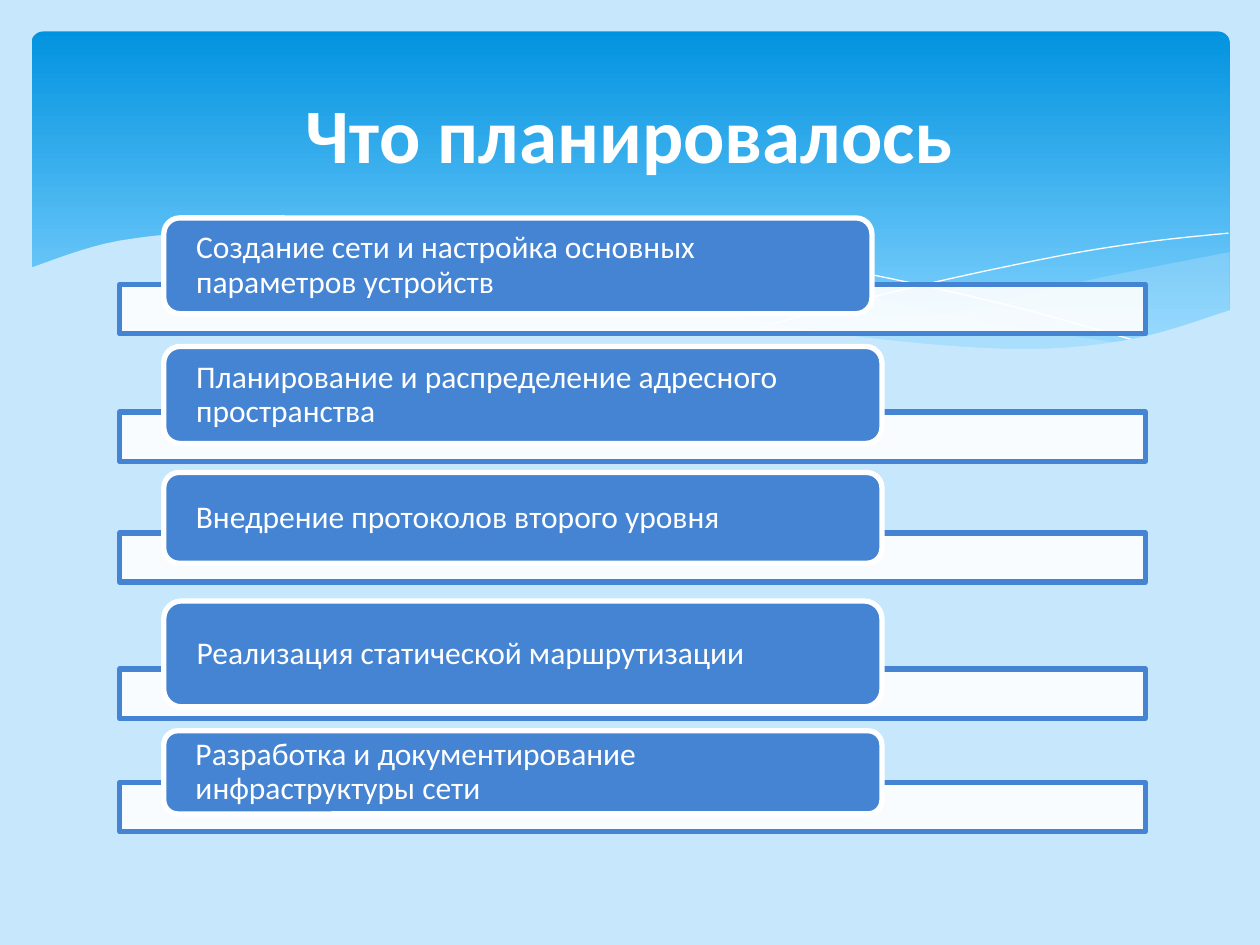
from lxml import etree
from pptx import Presentation
from pptx.dml.color import RGBColor
from pptx.enum.shapes import MSO_SHAPE as Shape
from pptx.enum.text import MSO_ANCHOR as Anchor, PP_ALIGN as Align
from pptx.oxml.ns import qn
from pptx.util import Inches, Pt

PALE = RGBColor(0xC6, 0xE7, 0xFC)
SKY_DARK = RGBColor(0x02, 0x93, 0xE0)
SKY_LIGHT = RGBColor(0x83, 0xD3, 0xFE)
BLUE = RGBColor(0x45, 0x84, 0xD3)
WHITE = RGBColor(0xFF, 0xFF, 0xFF)

FONT = "Calibri"
CURVE_STEPS = 8  # straight pieces between two key points of a curve

BAR_LEFT, BAR_WIDTH, BAR_HEIGHT = Inches(0.95), Inches(8.14), Inches(0.39)
LABEL_LEFT, LABEL_INSET = Inches(1.3), Inches(0.22)
BORDER = Pt(3)

deck = Presentation()
deck.slide_width, deck.slide_height = Inches(10), Inches(7.5)
page = deck.slides.add_slide(deck.slide_layouts[6])
page.background.fill.solid()
page.background.fill.fore_color.rgb = PALE


def fill_solid(shape, color, opacity=100):
    shape.fill.solid()
    shape.fill.fore_color.rgb = color
    if opacity < 100:
        tint = shape.fill._xPr.find(qn("a:solidFill"))[0]
        etree.SubElement(tint, qn("a:alpha"), val=str(opacity * 1000))


def add_curve(*edges, close=True):
    """Draw each edge as a Catmull-Rom spline; two key points give a straight line."""
    outline = []
    for edge in edges:
        # Repeat the end points so that every piece has a neighbour on both sides
        keys = [edge[0], *edge, edge[-1]]
        for piece in zip(keys, keys[1:], keys[2:], keys[3:]):
            for step in range(CURVE_STEPS + 1):
                t = step / CURVE_STEPS
                outline.append(tuple(
                    Inches(b + t * (c - a) / 2
                           + t ** 2 * (2 * a - 5 * b + 4 * c - d) / 2
                           + t ** 3 * (3 * b - a - 3 * c + d) / 2)
                    for a, b, c, d in zip(*piece)))
    builder = page.shapes.build_freeform(*outline[0])
    builder.add_line_segments(outline[1:], close=close)
    curve = builder.convert_to_shape()
    curve.shadow.inherit = False
    return curve


# Gradient header
header = page.shapes.add_shape(
    Shape.ROUNDED_RECTANGLE, Inches(0.25), Inches(0.25), Inches(9.51), Inches(2.7))
header.adjustments[0] = 0.034
header.shadow.inherit = False
header.line.fill.background()
header.fill.gradient()
header.fill.gradient_angle = 270
for stop, color, position in zip(
        header.fill.gradient_stops, (SKY_DARK, SKY_LIGHT), (0, 0.9)):
    stop.color.rgb = color
    stop.position = position

# Translucent waves, each between an upper and a lower edge
right_upper = [(9.76, 2), (8.61, 2.23), (7.53, 2.48), (6.61, 2.65)]
right_lower = [(6.61, 2.65), (7.32, 2.74), (8.03, 2.78), (8.72, 2.74),
               (9.28, 2.63), (9.76, 2.47)]
middle_upper = [(8.93, 2.73), (7.75, 2.54), (6.29, 2.22), (5.02, 1.96),
                (3.8, 1.85), (2.86, 1.91)]
middle_lower = [(2.86, 1.91), (4.49, 2.22), (6.01, 2.55), (7.09, 2.72),
                (8.07, 2.78), (8.93, 2.73)]
for upper, lower, opacity in ((right_upper, right_lower, 29),
                              (middle_upper, middle_lower, 40)):
    wave = add_curve(upper, lower)
    fill_solid(wave, PALE, opacity)
    wave.line.fill.background()

# White hairlines
falling = [(3.09, 1.95), (4.16, 1.87), (5.33, 1.94), (6.65, 2.13),
           (7.95, 2.41), (9.07, 2.72)]
rising = [(6.13, 2.57), (7.2, 2.29), (8.36, 2.04), (9.1, 1.92), (9.75, 1.85)]
for keys in (falling, rising):
    hairline = add_curve(keys, close=False)
    hairline.fill.background()
    hairline.line.color.rgb = WHITE
    hairline.line.width = Pt(0)

# Pale ground that cuts the header along a wavy crest
crest = [(9.77, 2.46), (8.99, 2.69), (8.09, 2.77), (6.88, 2.68), (5.79, 2.5),
         (4.47, 2.2), (3.16, 1.94), (1.93, 1.84), (0.95, 1.91), (0.23, 2.13)]
base = [(0.23, 3.29), (9.77, 3.29)]
ground = add_curve(crest, base)
fill_solid(ground, PALE)
ground.line.fill.background()

# Plan items: text, bar top, label top, label width, label height
items = [
    ("Создание сети и настройка основных параметров устройств", 2.26, 1.73, 5.62, 0.76),
    ("Планирование и распределение адресного пространства", 3.27, 2.75, 5.7, 0.77),
    ("Внедрение протоколов второго уровня", 4.23, 3.75, 5.7, 0.72),
    ("Реализация статической маршрутизации", 5.31, 4.77, 5.7, 0.84),
    ("Разработка и документирование инфраструктуры сети", 6.21, 5.8, 5.7, 0.66),
]
for text, bar_top, label_top, label_width, label_height in items:
    bar = page.shapes.add_shape(
        Shape.RECTANGLE, BAR_LEFT, Inches(bar_top), BAR_WIDTH, BAR_HEIGHT)
    label = page.shapes.add_shape(
        Shape.ROUNDED_RECTANGLE, LABEL_LEFT, Inches(label_top),
        Inches(label_width), Inches(label_height))
    for box, color, opacity, border in ((bar, WHITE, 90, BLUE),
                                        (label, BLUE, 100, WHITE)):
        box.shadow.inherit = False
        fill_solid(box, color, opacity)
        box.line.color.rgb = border
        box.line.width = BORDER

    frame = label.text_frame
    frame.word_wrap = True
    frame.vertical_anchor = Anchor.MIDDLE
    frame.margin_left = frame.margin_right = LABEL_INSET
    frame.margin_top = frame.margin_bottom = 0
    para = frame.paragraphs[0]
    para.text = text
    para.alignment = Align.LEFT
    para.line_spacing = 0.9
    para.font.name = FONT
    para.font.size = Pt(18)
    para.font.color.rgb = WHITE

# Title
title = page.shapes.add_textbox(Inches(0.5), Inches(0.37), Inches(9), Inches(1.37))
title.text_frame.word_wrap = True
title.text_frame.vertical_anchor = Anchor.MIDDLE
para = title.text_frame.paragraphs[0]
para.text = "Что планировалось"
para.alignment = Align.CENTER
para.font.name = FONT
para.font.size = Pt(44)
para.font.bold = True
para.font.color.rgb = WHITE

deck.save("out.pptx")
